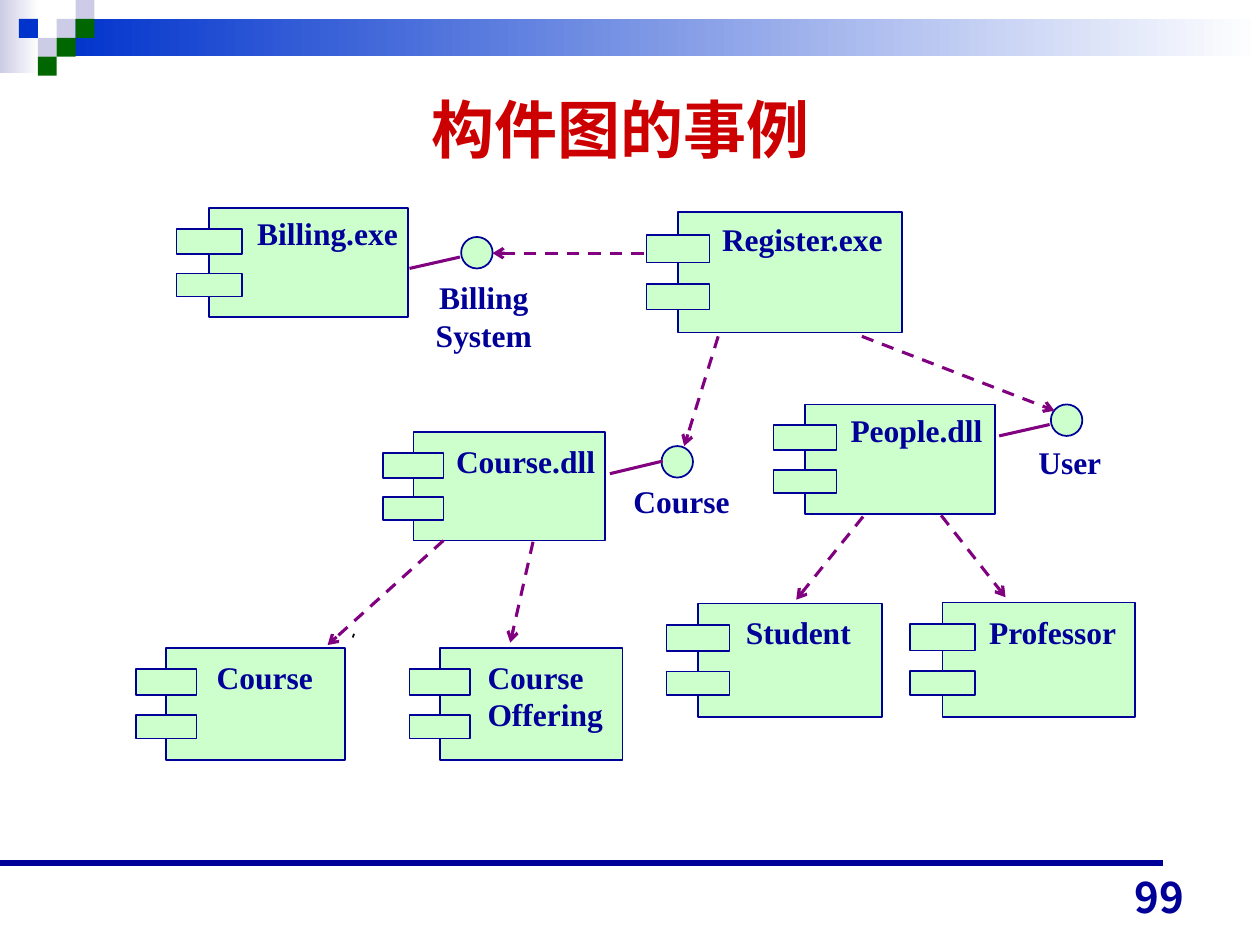
"""Build a slide with a UML component diagram of a course registration system."""
from lxml import etree
from pptx import Presentation
from pptx.dml.color import RGBColor
from pptx.enum.dml import MSO_LINE
from pptx.enum.shapes import MSO_CONNECTOR, MSO_SHAPE
from pptx.enum.text import MSO_ANCHOR, MSO_AUTO_SIZE, PP_ALIGN
from pptx.oxml.ns import qn
from pptx.util import Pt

RECTANGLE, OVAL = MSO_SHAPE.RECTANGLE, MSO_SHAPE.OVAL
STRAIGHT, DASH = MSO_CONNECTOR.STRAIGHT, MSO_LINE.DASH
LEFT, CENTER, RIGHT = PP_ALIGN.LEFT, PP_ALIGN.CENTER, PP_ALIGN.RIGHT
TOP, MIDDLE, BOTTOM = MSO_ANCHOR.TOP, MSO_ANCHOR.MIDDLE, MSO_ANCHOR.BOTTOM
NO_AUTOSIZE = MSO_AUTO_SIZE.NONE

WHITE = RGBColor(0xFF, 0xFF, 0xFF)
BLACK = RGBColor(0x00, 0x00, 0x00)
LAVENDER = RGBColor(0xCC, 0xCC, 0xE6)
BLUE = RGBColor(0x00, 0x33, 0xCC)
DARK_GREEN = RGBColor(0x00, 0x66, 0x00)
NAVY = RGBColor(0x00, 0x00, 0x99)
RED = RGBColor(0xCC, 0x00, 0x00)
MINT = RGBColor(0xCC, 0xFF, 0xCC)
PURPLE = RGBColor(0x80, 0x00, 0x80)
SERIF, SANS = "Times New Roman", "Noto Sans CJK JP"


def add_box(kind, left, top, width, height, fill, outline=None):
    shape = slide.shapes.add_shape(kind, Pt(left), Pt(top), Pt(width), Pt(height))
    shape.shadow.inherit = False
    shape.fill.solid()
    shape.fill.fore_color.rgb = fill
    if outline is None:
        shape.line.fill.background()
    else:
        shape.line.color.rgb = outline
        shape.line.width = Pt(1)
    return shape


def format_text(shape, text, size, font, color, alignment, anchor, margins, wrap):
    text_frame = shape.text_frame
    text_frame.text = text
    text_frame.auto_size = NO_AUTOSIZE
    text_frame.word_wrap = wrap
    text_frame.vertical_anchor = anchor
    text_frame.margin_left = text_frame.margin_right = Pt(margins[0])
    text_frame.margin_top = text_frame.margin_bottom = Pt(margins[1])
    for paragraph in text_frame.paragraphs:
        paragraph.alignment = alignment
        for run in paragraph.runs:
            run.font.size = Pt(size)
            run.font.name = font
            run.font.bold = True
            run.font.color.rgb = color


presentation = Presentation()
presentation.slide_width, presentation.slide_height = Pt(720), Pt(540)
slide = presentation.slides.add_slide(presentation.slide_layouts[5])

gradient_bands = [(0, 0, 22.5, 41.8, LAVENDER), (32.4, 10.8, 687.6, 21.4, BLUE)]
for left, top, width, height, color in gradient_bands:
    band = add_box(RECTANGLE, left, top, width, height, color)
    band.fill.gradient()
    band.fill.gradient_angle = 0
    for stop, stop_color, position in zip(band.fill.gradient_stops, (color, WHITE), (0, 1)):
        stop.color.rgb = stop_color
        stop.position = position

SQUARE = 10.8
squares = [
    (3, 1, LAVENDER), (4, 0, LAVENDER), (4, 1, DARK_GREEN), (2, 2, LAVENDER),
    (1, 1, BLUE), (3, 2, DARK_GREEN), (2, 3, DARK_GREEN),
]
for column, row, color in squares:
    add_box(RECTANGLE, column * SQUARE, row * SQUARE, SQUARE, SQUARE, color)

title = slide.shapes.title
title.left, title.top, title.width, title.height = Pt(97.9), Pt(49.7), Pt(513.4), Pt(46.8)
format_text(title, "构件图的事例", 36, SERIF, RED, CENTER, MIDDLE, (4.3, 1.4), True)

components = [
    ("Course", 95, 370.1, 102.2, 64.1, 17.3, (123.8, 375.8, 54.7)),
    ("Course\nOffering", 251.3, 370.1, 104.4, 64.1, 17.3, (278.6, 375.8, 66.2)),
    ("Student", 398.9, 344.9, 105.1, 64.8, 18, (426.2, 350.6, 59.8)),
    ("Professor", 538.6, 344.2, 110.2, 65.5, 18.7, (565.2, 350.6, 72.7)),
    ("Course.dll", 236.2, 247, 109.4, 61.9, 17.3, (260.6, 252.7, 79.9)),
    ("People.dll", 460.1, 231.1, 108.7, 62.6, 18, (486, 234.7, 75.6)),
    ("Register.exe", 387.4, 121, 128.2, 69.1, 18, (412.6, 126, 93.6)),
    ("Billing.exe", 119.5, 118.8, 113.8, 62.6, 18.7, (146.9, 122.4, 80.6)),
]
for name, left, top, width, height, overhang, label_place in components:
    add_box(RECTANGLE, left, top, width, height, MINT, NAVY)
    for offset, share in ((0.19, 0.23), (0.6, 0.21)):
        add_box(RECTANGLE, left - overhang, top + offset * height,
                2 * overhang, share * height, MINT, NAVY)
    label_left, label_top, label_width = label_place
    label_height = 21.6 * (name.count("\n") + 1)
    label = add_box(RECTANGLE, label_left, label_top, label_width, label_height, MINT)
    format_text(label, name, 18, SERIF, NAVY, LEFT, TOP, (0, 0), False)

interfaces = [
    ("Course", 378, 254.9, (357.8, 273.6, 63.4, 25.2)),
    ("User", 600.5, 231.1, (589, 251.3, 44.6, 25.2)),
    ("Billing\nSystem", 263.5, 135.4, (244.8, 157, 63.4, 46.8)),
]
for name, left, top, label_place in interfaces:
    add_box(OVAL, left, top, 18, 18, MINT, NAVY)
    label = slide.shapes.add_textbox(*[Pt(length) for length in label_place])
    format_text(label, name, 18, SERIF, NAVY, CENTER, MIDDLE, (4.3, 1.4), False)

plain_lines = [
    (0, 493.2, 664.6, 493.2, NAVY, 3.5),
    (201.6, 364.3, 202.3, 362.2, BLACK, 1),
    (348.5, 270.7, 378.7, 263.5, PURPLE, 1.75),
    (571, 249.1, 599.8, 242.6, PURPLE, 1.75),
    (234, 153.4, 262.8, 146.9, PURPLE, 1.75),
]
dependencies = [
    (253.4, 308.9, 187.2, 368.6),
    (304.6, 309.6, 291.6, 367.2),
    (493.2, 295.2, 455, 342.7),
    (537.8, 294.5, 574.6, 341.3),
    (367.9, 144.7, 281.5, 144.7),
    (410.4, 192.2, 391, 254.9),
    (492.5, 192.2, 602.6, 234.7),
]
lines = [(*line, False) for line in plain_lines]
lines += [(*ends, PURPLE, 1.75, True) for ends in dependencies]
for *ends, color, width, is_dependency in lines:
    connector = slide.shapes.add_connector(STRAIGHT, *[Pt(length) for length in ends])
    connector.line.color.rgb = color
    connector.line.width = Pt(width)
    if is_dependency:
        connector.line.dash_style = DASH
        etree.SubElement(connector.line._get_or_add_ln(), qn("a:tailEnd"), type="arrow")
    etree.SubElement(connector._element.spPr, qn("a:effectLst"))

page_number = slide.shapes.add_textbox(Pt(516.2), Pt(494.6), Pt(167.8), Pt(36))
format_text(page_number, "99", 24, SANS, NAVY, RIGHT, BOTTOM, (7.2, 3.6), True)

presentation.save("out.pptx")
